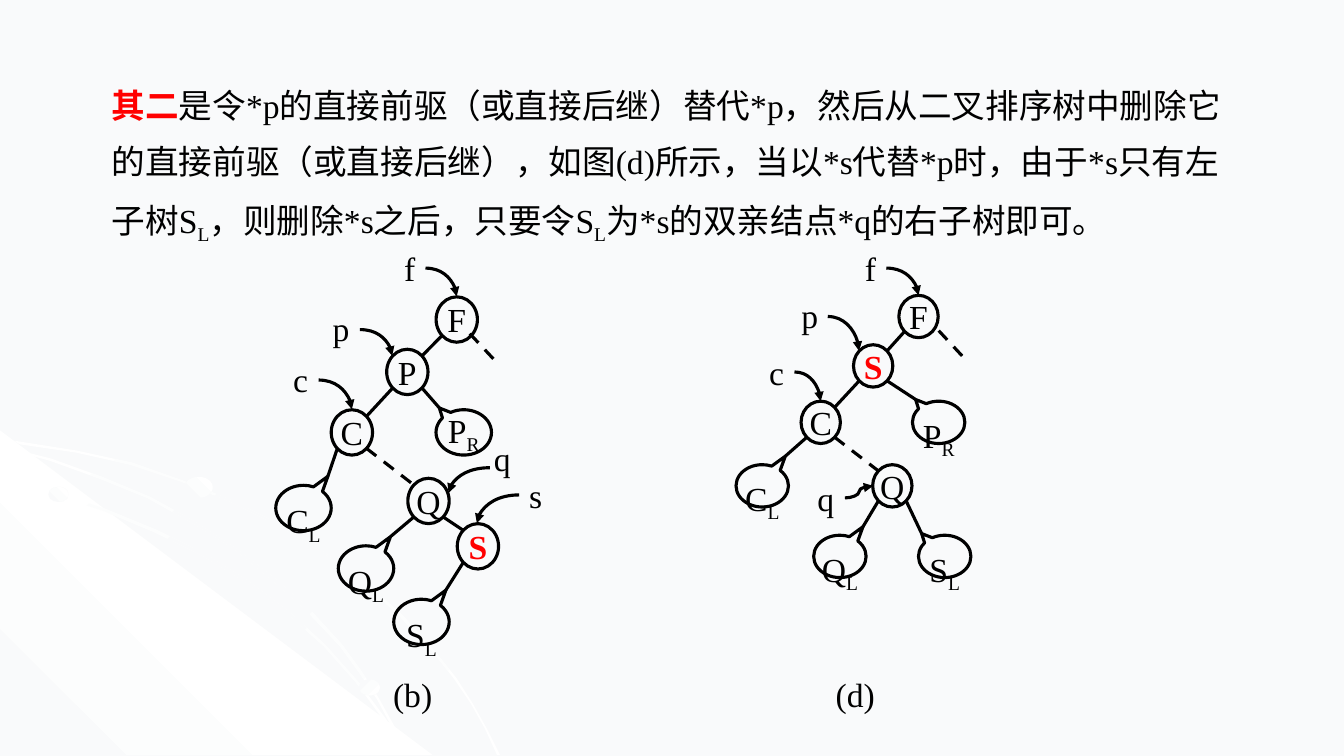
"""Build a slide on deleting a node from a binary search tree, with two tree diagrams."""
from lxml import etree
from pptx import Presentation
from pptx import util as u
from pptx.dml.color import RGBColor
from pptx.enum import dml, shapes, text
from pptx.oxml import parse_xml
from pptx.oxml.ns import qn

BLACK = RGBColor(0, 0, 0)
RED = RGBColor(0xFF, 0, 0)
WHITE = RGBColor(0xFF, 0xFF, 0xFF)
MIST = RGBColor(0xF9, 0xFA, 0xFB)
FONT = "Times New Roman"
DRAWING = "http://schemas.openxmlformats.org/drawingml/2006/main"

EXPLANATION = [
    ("其二", "key"),
    ("是令*p的直接前驱（或直接后继）替代*p，然后从二叉排序树中删除它的直接前驱（或直接后继），"
     "如图(d)所示，当以*s代替*p时，由于*s只有左子树S", ""),
    ("L", "sub"), ("，则删除*s之后，只要令S", ""), ("L", "sub"),
    ("为*s的双亲结点*q的右子树即可。", ""),
]

TREES = [
    {
        "caption": ("(b)", 3.8, 6.64), "node": (0.41, 0.45), "bubble": (0.55, 0.45), "red": "S",
        "nodes": {"F": (4.53, 3.17), "P": (4.04, 3.69), "C": (3.49, 4.29),
                  "Q": (4.25, 4.97), "S": (4.74, 5.42)},
        "edges": ["FP", "PC", "QS"], "dashed": "CQ", "stub": (4.66, 3.31, 4.94, 3.61),
        "bubbles": [("CL", "C", 3.01, 5.04, 0.3), ("PR", "P", 4.6, 4.29, 0),
                    ("QL", "Q", 3.63, 5.64, 0.3), ("SL", "S", 4.18, 6.17, 0.3)],
        "pointers": [("f", 3.91, 2.41, 4.22, 2.66, 4.53, 2.94), ("p", 3.2, 3.01, 3.57, 3.27, 3.89, 3.53),
                     ("c", 2.81, 3.51, 3.16, 3.77, 3.49, 4.06), ("s", 5.15, 4.66, 5.15, 4.91, 4.73, 5.19),
                     ("q", 4.8, 4.3, 4.86, 4.64, 4.45, 4.89)],
    },
    {
        "caption": ("(d)", 8.19, 6.64), "node": (0.39, 0.42), "bubble": (0.52, 0.42), "red": "S",
        "nodes": {"F": (9.11, 3.14), "S": (8.66, 3.63), "C": (8.14, 4.19), "Q": (8.85, 4.82)},
        "edges": ["FS", "SC"], "dashed": "CQ", "stub": (9.31, 3.28, 9.57, 3.56),
        "bubbles": [("CL", "C", 7.56, 4.82, 0.3), ("PR", "S", 9.31, 4.19, 0.3),
                    ("QL", "Q", 8.33, 5.52, 0.3), ("SL", "Q", 9.37, 5.52, 0.3)],
        "pointers": [("f", 8.48, 2.41, 8.79, 2.66, 9.11, 2.93), ("p", 7.85, 2.88, 8.21, 3.14, 8.52, 3.48),
                     ("c", 7.53, 3.44, 7.88, 3.69, 8.14, 3.98), ("q", 8.01, 4.69, 8.38, 4.94, 8.66, 4.82)],
    },
]

STREAK = [WHITE, MIST, WHITE]
BACKDROP = [
    (STREAK, 45, [
        (0.76, 4.47), (0, 4.35), (0, 4.38), (0.75, 4.49), (1.29, 4.61), (1.8, 4.78), (2.31, 4.99),
        (2.78, 5.23), (3.21, 5.49), (3.61, 5.79), (3.97, 6.12), (4.31, 6.49), (4.5, 6.73),
        (4.67, 6.98), (4.81, 7.23), (4.93, 7.49), (4.96, 7.49), (4.83, 7.23), (4.69, 6.98),
        (4.53, 6.73), (4.33, 6.48), (4, 6.11), (3.63, 5.78), (3.22, 5.48), (2.79, 5.21),
        (2.32, 4.97), (1.82, 4.77), (1.31, 4.59)]),
    ([MIST, WHITE, MIST], 315, [(4.29, 7.49), (0, 7.49), (0, 4.27)]),
    (STREAK, 45, [
        (3.8, 7.14), (3.92, 7.32), (4.01, 7.49), (4.04, 7.49), (3.94, 7.3), (3.82, 7.12),
        (3.55, 6.76), (3.23, 6.4), (2.86, 6.06), (2.46, 5.76), (2.03, 5.49), (1.56, 5.26),
        (1.05, 5.05), (0.54, 4.88), (0, 4.75), (0, 4.77), (0.51, 4.9), (1.03, 5.07),
        (1.53, 5.28), (2, 5.51), (2.44, 5.78), (2.84, 6.08), (3.21, 6.41), (3.53, 6.77)]),
    (STREAK, 45, [
        (0, 4.42), (0, 4.44), (0.49, 4.57), (0.99, 4.75), (1.46, 4.94), (1.89, 5.18),
        (2.31, 5.44), (2.69, 5.75), (3.03, 6.05), (3.37, 6.41), (3.56, 6.67), (3.74, 6.94),
        (3.89, 7.22), (4.01, 7.49), (4.04, 7.49), (3.91, 7.2), (3.76, 6.93), (3.58, 6.65),
        (3.39, 6.39), (3.06, 6.03), (2.72, 5.73), (2.33, 5.43), (1.91, 5.16), (1.49, 4.93),
        (1.01, 4.73), (0.51, 4.55)]),
]
DOTS = [(0.48, 4.83, 0.2, 0.15, 315), (3.56, 6.74, 0.21, 0.16, 45), (1.83, 4.73, 0.28, 0.21, 315)]


def inches(*values):
    return [u.Cm(value * 2.54) for value in values]


def paint_gradient(shape, colors, angle):
    shape.shadow.inherit = False
    shape.line.fill.background()
    stops = "".join(
        f'<a:gs pos="{100000 * i // (len(colors) - 1)}"><a:srgbClr val="{color}"/></a:gs>'
        for i, color in enumerate(colors))
    shape._element.spPr.find(qn("a:ln")).addprevious(parse_xml(
        f'<a:gradFill xmlns:a="{DRAWING}" rotWithShape="1"><a:gsLst>{stops}</a:gsLst>'
        f'<a:lin ang="{angle * 60000}" scaled="0"/></a:gradFill>'))


def write(shape, runs, centered=False, drop=None, spacing=None, wrap=False):
    frame = shape.text_frame
    frame.word_wrap = wrap
    paragraph = frame.paragraphs[0]
    paragraph.line_spacing = spacing
    if centered:
        paragraph.alignment = text.PP_ALIGN.CENTER
        frame.vertical_anchor = text.MSO_ANCHOR.MIDDLE
        frame.margin_left = frame.margin_right = frame.margin_bottom = 0
        frame.margin_top = inches(drop or 0)[0]
    for words, style in runs:
        run = paragraph.add_run()
        run.text = words
        run.font.name, run.font.size = FONT, u.Pt(24)
        run.font.bold = style == "key"
        run.font.color.rgb = RED if style == "key" else BLACK
        if style == "sub":
            run.font._element.set("baseline", "-25000")


def add_outline(slide, kind, center, size, fill=None):
    left, top = (c - s / 2 for c, s in zip(center, size))
    shape = slide.shapes.add_shape(kind, *inches(left, top, *size))
    shape.shadow.inherit = False
    if fill is None:
        shape.fill.background()
    else:
        shape.fill.solid()
        shape.fill.fore_color.rgb = fill
    shape.line.color.rgb, shape.line.width = BLACK, u.Pt(2.25)
    return shape


def add_line(slide, start, end, kind=shapes.MSO_CONNECTOR.STRAIGHT, dashed=False, arrow=False):
    line = slide.shapes.add_connector(kind, *inches(*start, *end))
    line.line.color.rgb, line.line.width = BLACK, u.Pt(2.25)
    if dashed:
        line.line.dash_style = dml.MSO_LINE.DASH
    if arrow:
        etree.SubElement(line.line._get_or_add_ln(), qn("a:tailEnd"), type="triangle")
    etree.SubElement(line._element.spPr, qn("a:effectLst"))
    return line


def add_label(slide, words, left, top):
    write(slide.shapes.add_textbox(*inches(left, top, 0.2 + 0.17 * len(words), 0.5)), [(words, "")])


def draw_tree(slide, tree):
    nodes, size = tree["nodes"], tree["node"]

    def corner(name, across, down):
        x, y = nodes[name]
        return x + across * size[0] * 0.35, y + down * size[1] * 0.35

    for name, center in nodes.items():
        red = name == tree["red"]
        node = add_outline(slide, shapes.MSO_SHAPE.OVAL, center, size, MIST if red else None)
        write(node, [(name, "key" if red else "")], centered=True)
    for parent, child in tree["edges"] + [tree["dashed"]]:
        side = 1 if nodes[child][0] > nodes[parent][0] else -1
        add_line(slide, corner(parent, side, 1), corner(child, -side, -1), dashed=parent + child == tree["dashed"])
    add_line(slide, tree["stub"][:2], tree["stub"][2:], dashed=True)
    for label, parent, x, y, drop in tree["bubbles"]:
        side = 1 if x > nodes[parent][0] else -1
        tip = (-0.44 * side, -0.54 if side > 0 else -0.7)
        bubble = add_outline(slide, shapes.MSO_SHAPE.OVAL_CALLOUT, (x, y), tree["bubble"])
        bubble.adjustments[0], bubble.adjustments[1] = tip
        write(bubble, [(label[0], ""), (label[1], "sub")], centered=True, drop=drop)
        end = [c + t * s for c, t, s in zip((x, y), tip, tree["bubble"])]
        add_line(slide, corner(parent, side, 1), end)
    for label, left, top, *route in tree["pointers"]:
        add_label(slide, label, left, top)
        arrow = add_line(slide, route[:2], route[2:], shapes.MSO_CONNECTOR.CURVE, arrow=True)
        if route[3] > route[1]:
            arrow._element.spPr.find(qn("a:prstGeom")).set("prst", "curvedConnector2")
    add_label(slide, *tree["caption"])


def main():
    presentation = Presentation()
    presentation.slide_width, presentation.slide_height = inches(13.33, 7.5)
    slide = presentation.slides.add_slide(presentation.slide_layouts[6])
    slide.background.fill.solid()
    slide.background.fill.fore_color.rgb = MIST
    for colors, angle, points in BACKDROP:
        start, *rest = [inches(*point) for point in points]
        builder = slide.shapes.build_freeform(*start)
        builder.add_line_segments(rest, close=True)
        paint_gradient(builder.convert_to_shape(), colors, angle)
    for *box, angle in DOTS:
        dot = slide.shapes.add_shape(shapes.MSO_SHAPE.OVAL, *inches(*box))
        paint_gradient(dot, [MIST, WHITE], angle)
    write(slide.shapes.add_textbox(*inches(1.01, 0.63, 11.5, 1.8)), EXPLANATION, spacing=1.4, wrap=True)
    for tree in TREES:
        draw_tree(slide, tree)
    presentation.save("out.pptx")


if __name__ == "__main__":
    main()
